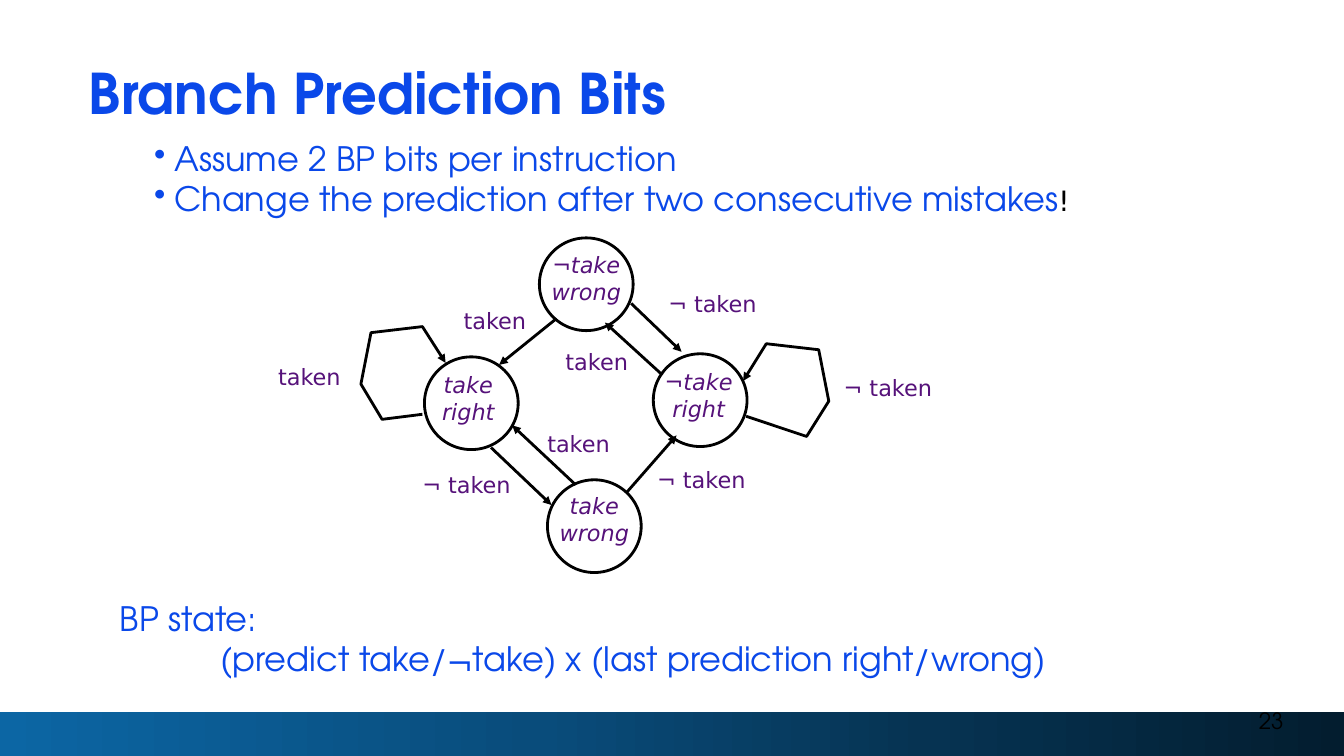
from lxml import etree
from pptx import Presentation
from pptx import util as u
from pptx.dml.color import RGBColor
from pptx.enum import shapes, text
from pptx.oxml import ns

PX = 9144  # 100 px to the inch
BLUE = RGBColor(0x0A, 0x48, 0xE9)
PURPLE = RGBColor(0x56, 0x12, 0x7A)
BLACK = RGBColor(0, 0, 0)
WHITE = RGBColor(0xFF, 0xFF, 0xFF)
FOOTER_STOPS = [(0, RGBColor(0x0C, 0x66, 0xA4)), (40, RGBColor(0x09, 0x4C, 0x7B)),
                (69, RGBColor(0x06, 0x33, 0x52)), (100, RGBColor(0x03, 0x1D, 0x2F))]
HEADING_FONT = "TeX Gyre Adventor"
LABEL_FONT = "DejaVu Sans"


def px(*lengths):
    return [u.Emu(n * PX) for n in lengths]


def add_child(parent, tag, **attrs):
    return etree.SubElement(parent, ns.qn(tag), attrs)


def style(font, name, size, color, bold=False, italic=False):
    font.name, font.size, font.bold, font.italic = name, u.Pt(size), bold, italic
    font.color.rgb = color


def add_text(s, box, lines, name, size, color, italic=False, align=text.PP_ALIGN.LEFT):
    tf = s.shapes.add_textbox(*px(*box)).text_frame
    tf.word_wrap = True
    tf.text = "\n".join(lines)
    for p in tf.paragraphs:
        p.alignment = align
        for r in p.runs:
            style(r.font, name, size, color, italic=italic)
    return tf


def indent(p, margin, first=0):
    pPr = p._p.get_or_add_pPr()
    pPr.set("marL", str(margin * PX))
    pPr.set("indent", str(first * PX))
    return pPr


def outline(shape, arrow=False):
    """Draw a black 2 pt line, optionally ending in an arrowhead."""
    shape.line.color.rgb = BLACK
    shape.line.width = u.Pt(2)
    if arrow:
        add_child(shape.line._get_or_add_ln(), "a:tailEnd", type="triangle")


def add_footer(s, x, y, w, h):
    bar = s.shapes.add_shape(shapes.MSO_SHAPE.RECTANGLE, *px(x, y, w, h))
    bar.shadow.inherit = False
    bar.line.fill.background()
    bar.fill.gradient()
    bar.fill.gradient_angle = 0
    stops = bar._element.spPr.find(".//" + ns.qn("a:gsLst"))
    for old in list(stops):
        stops.remove(old)
    for position, color in FOOTER_STOPS:
        gs = add_child(stops, "a:gs", pos=str(position * 1000))
        add_child(gs, "a:srgbClr", val=str(color))
    tf = add_text(s, (x + w - 350, y - 11, 300, 40), ["23"], HEADING_FONT, 16, BLACK,
                  align=text.PP_ALIGN.RIGHT)
    tf.vertical_anchor = text.MSO_ANCHOR.MIDDLE


def add_title(s, box, title):
    sp = s.shapes.title
    sp.left, sp.top, sp.width, sp.height = px(*box)
    tf = sp.text_frame
    tf.text = title
    tf.vertical_anchor = text.MSO_ANCHOR.MIDDLE
    p = tf.paragraphs[0]
    p.alignment = text.PP_ALIGN.LEFT
    p.line_spacing = 0.9
    style(p.runs[0].font, HEADING_FONT, 40, BLUE, bold=True)


def add_bullets(s, box):
    tf = add_text(s, box, ["Assume 2 BP bits per instruction",
                           "Change the prediction after two consecutive mistakes"],
                  HEADING_FONT, 24, BLUE)
    for p in tf.paragraphs:
        add_child(indent(p, 20, -20), "a:buChar", char="•")
    r = tf.paragraphs[-1].add_run()
    r.text = "!"
    style(r.font, LABEL_FONT, 20, BLACK)


def add_state_diagram(s, x, y):
    """Place the four states and their transitions from the corner x, y."""
    # circle corner, label corner and width, label lines
    states = [((155, 118), (155, 127, 87), ["take", "right"]),
              ((382, 115), (375, 124, 104), ["¬take", "right"]),
              ((277, 240), (270, 247, 107), ["take", "wrong"]),
              ((269, 0), (262, 8, 107), ["¬take", "wrong"])]
    arrows = [((221, 208), (281, 265)), ((305, 245), (242, 186)),
              ((356, 252), (405, 196)), ((391, 136), (334, 84)),
              ((286, 80), (229, 126)), ((360, 65), (410, 113))]
    loops = [[(153, 175), (113, 180), (92, 145), (102, 94), (153, 88), (176, 124)],
             [(474, 177), (534, 197), (556, 162), (546, 111), (494, 105), (471, 142)]]
    taken = [(0, 119), (184, 64), (267, 186), (285, 104)]
    not_taken = [(387, 47), (561, 130), (376, 221), (143, 226)]

    for (cx, cy), _, _ in states:
        circle = s.shapes.add_shape(shapes.MSO_SHAPE.OVAL, *px(x + cx, y + cy, 93, 92))
        circle.shadow.inherit = False
        circle.fill.solid()
        circle.fill.fore_color.rgb = WHITE
        outline(circle)
    for (x1, y1), (x2, y2) in arrows:
        line = s.shapes.add_connector(shapes.MSO_CONNECTOR.STRAIGHT,
                                      *px(x + x1, y + y1, x + x2, y + y2))
        outline(line, arrow=True)
        add_child(line._element.spPr, "a:effectLst")
    for loop in loops:
        start, *rest = [(x + dx, y + dy) for dx, dy in loop]
        builder = s.shapes.build_freeform(*start, scale=PX)
        builder.add_line_segments(rest, close=False)
        path = builder.convert_to_shape()
        path.shadow.inherit = False
        path.fill.background()
        outline(path, arrow=True)
    for _, (lx, ly, w), lines in states:
        add_text(s, (x + lx, y + ly, w, 73), lines, LABEL_FONT, 16, PURPLE,
                 italic=True, align=text.PP_ALIGN.CENTER)
    for label, w, spots in (("taken", 99, taken), ("¬ taken", 130, not_taken)):
        for lx, ly in spots:
            add_text(s, (x + lx, y + ly, w, 42), [label], LABEL_FONT, 16, PURPLE)


def add_state_summary(s, box):
    tf = add_text(s, box, ["BP state:",
                           "(predict take/¬take) x (last prediction right/wrong)"],
                  HEADING_FONT, 24, BLUE)
    indent(tf.paragraphs[1], 100)


def main():
    prs = Presentation()
    prs.slide_width, prs.slide_height = px(1333, 750)
    s = prs.slides.add_slide(prs.slide_layouts[5])
    add_footer(s, 0, 706, 1333, 44)
    add_bullets(s, (143, 132, 950, 91))
    add_state_diagram(s, 266, 236)
    add_state_summary(s, (109, 588, 960, 91))
    add_title(s, (78, 60, 1150, 71), "Branch Prediction Bits")
    prs.save("out.pptx")


if __name__ == "__main__":
    main()
